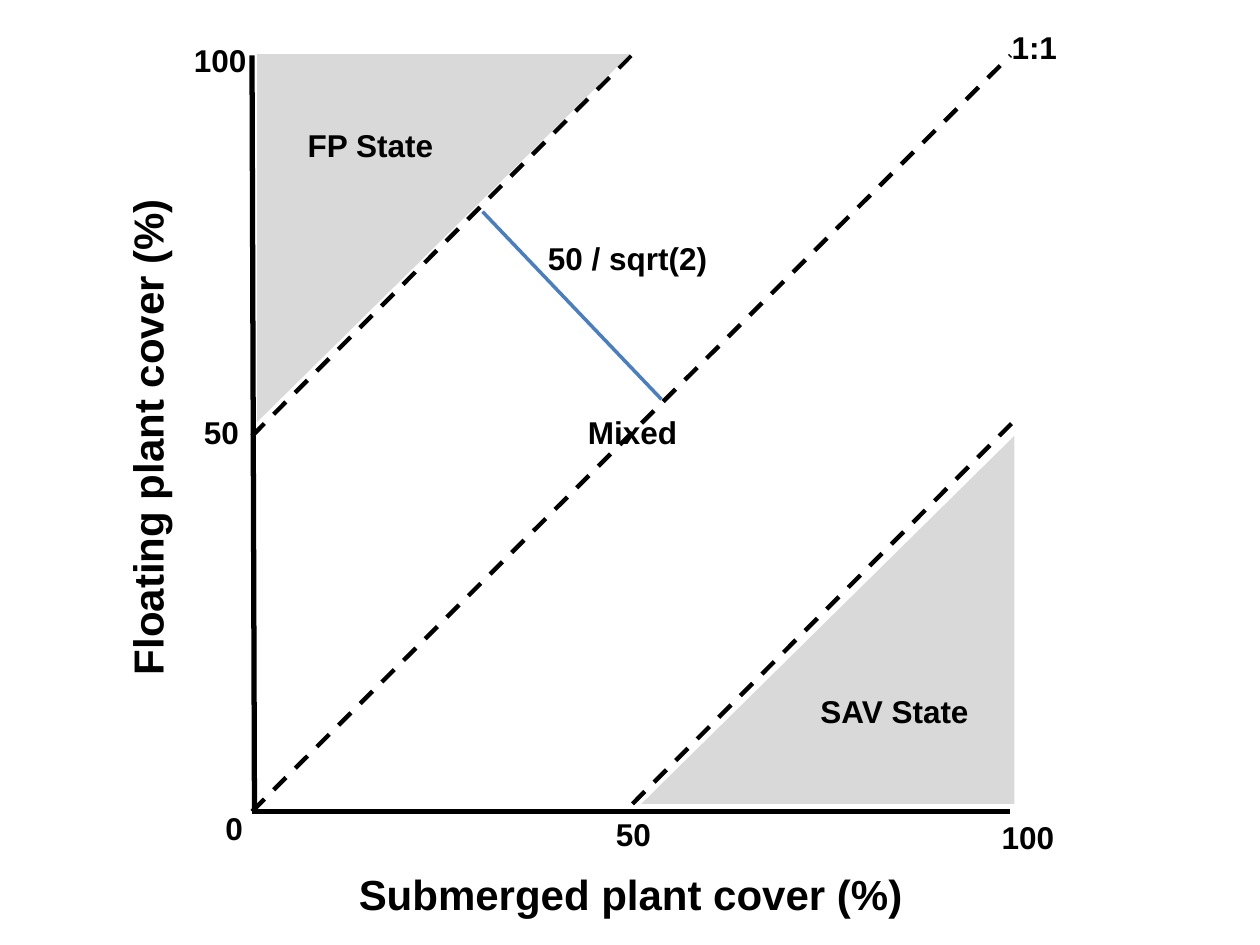
from pptx import Presentation
from pptx.dml.color import RGBColor
from pptx.enum.dml import MSO_LINE as Dash
from pptx.enum.shapes import MSO_CONNECTOR as Conn, MSO_SHAPE as Shape
from pptx.enum.text import MSO_AUTO_SIZE as Fit, PP_ALIGN as Align
from pptx.oxml.ns import qn
from pptx.util import Inches, Pt
from lxml.etree import SubElement

COLORS = {"ink": "000000", "zone": "D9D9D9", "gap": "4B7EBC"}

prs = Presentation()
prs.slide_width, prs.slide_height = Inches(10), Inches(7.5)
slide = prs.slides.add_slide(prs.slide_layouts[6])
shapes = slide.shapes


def add_line(x1, y1, x2, y2, width, color="ink", dash=None):
    line = shapes.add_connector(
        Conn.STRAIGHT, Inches(x1), Inches(y1), Inches(x2), Inches(y2))
    line.line.width = Pt(width)
    line.line.color.rgb = RGBColor.from_string(COLORS[color])
    if dash:
        line.line.dash_style = dash
    SubElement(line._element.spPr, qn("a:effectLst"))


def add_label(text, x, y, w, h=0.4, size=18, align=Align.LEFT, turn=0):
    box = shapes.add_textbox(Inches(x), Inches(y), Inches(w), Inches(h))
    box.rotation = turn
    frame = box.text_frame
    frame.word_wrap = True
    frame.auto_size = Fit.SHAPE_TO_FIT_TEXT
    frame.text = text
    para = frame.paragraphs[0]
    para.alignment = align
    font = para.runs[0].font
    font.name, font.size, font.bold = "Arial", Pt(size), True
    font.color.rgb = RGBColor.from_string(COLORS["ink"])


# Axes
add_line(2, 0.44, 2.02, 6.44, 3)
add_line(8.02, 6.44, 2, 6.44, 3)

# The 1:1 line and the state limits
for ends in [(2, 6.44, 8.02, 0.44), (2, 3.46, 5.01, 0.44),
             (5.02, 6.38, 8.03, 3.36)]:
    add_line(*ends, 2.5, dash=Dash.DASH)

# Tick labels
for text, x, y, w in [
    ("100", 1.44, 0.28, 0.75),
    ("50", 1.52, 3.23, 0.5),
    ("0", 1.69, 6.37, 0.5),
    ("50", 4.79, 6.42, 0.5),
    ("100", 7.85, 6.44, 0.75),
    ("1:1", 7.93, 0.17, 1.33),
]:
    add_label(text, x, y, w)

# Shaded state zones
for x, y, turn in [(2.06, 0.41, 90), (5.11, 3.44, 270)]:
    zone = shapes.add_shape(Shape.ISOSCELES_TRIANGLE, Inches(x), Inches(y),
                            Inches(2.92), Inches(2.96))
    zone.adjustments[0] = 0
    zone.rotation = turn
    zone.shadow.inherit = False
    zone.fill.solid()
    zone.fill.fore_color.rgb = RGBColor.from_string(COLORS["zone"])
    zone.line.fill.background()

for text, x, y in [("FP State", 2.19, 0.95), ("SAV State", 6.35, 5.44),
                   ("Mixed", 4.27, 3.23)]:
    add_label(text, x, y, 1.5, align=Align.CENTER)

# Axis titles
for text, x, y, turn in [("Floating plant cover (%)", -1.78, 3.22, 270),
                         ("Submerged plant cover (%)", 2.06, 6.84, 0)]:
    add_label(text, x, y, 5.89, 0.5, 24, Align.CENTER, turn)

# Distance from the 1:1 line to the limit
add_line(3.83, 1.68, 5.25, 3.17, 2, "gap")
add_label("50 / sqrt(2)", 4.25, 1.85, 1.5)

prs.save("out.pptx")
